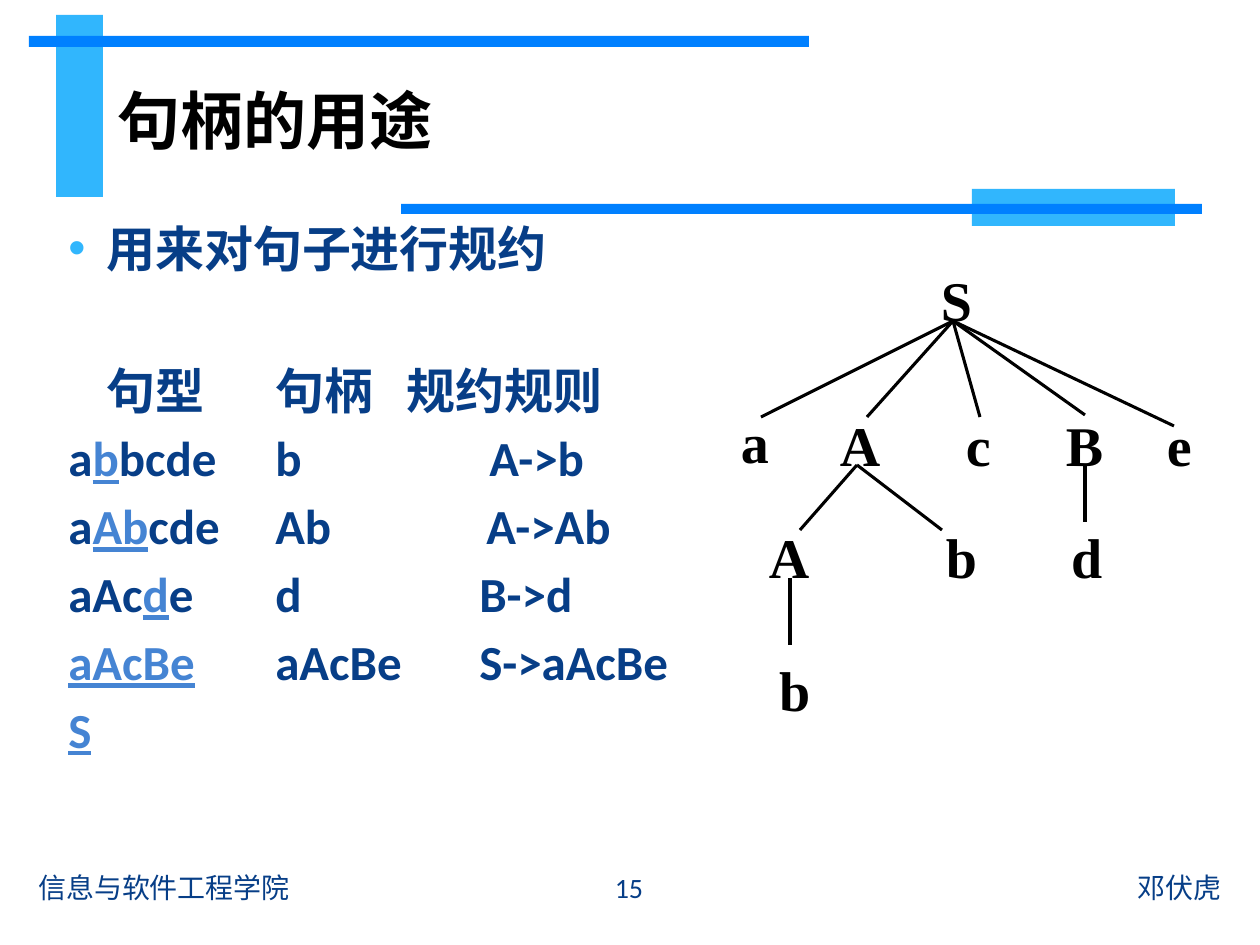
from lxml import etree
from pptx import Presentation
from pptx.dml.color import RGBColor
from pptx.enum.shapes import MSO_CONNECTOR, MSO_SHAPE
from pptx.enum.text import MSO_ANCHOR, MSO_AUTO_SIZE, PP_ALIGN
from pptx.oxml.ns import qn
from pptx.util import Emu, Pt

SCALE = 914400 / 126
SKY = RGBColor(0x31, 0xB6, 0xFD)
BLUE = RGBColor(0x00, 0x80, 0xFF)
NAVY = RGBColor(0x07, 0x3E, 0x87)
ACCENT = RGBColor(0x45, 0x84, 0xD3)
BLACK = RGBColor(0x00, 0x00, 0x00)
INDENT = 38

BARS = [
    (56, 15, 47, 182, SKY),
    (29, 36, 780, 11, BLUE),
    (972, 189, 203, 37, SKY),
    (401, 204, 801, 10, BLUE),
]
SENTENCES = [("a", "b", "bcde"), ("a", "Ab", "cde"), ("aAc", "d", "e"),
             ("", "aAcBe", ""), ("", "S", "")]
RULES = [("句柄", "规约规则", 131), ("b", "A->b", 214), ("Ab", "A->Ab", 211),
         ("d", "B->d", 204), ("aAcBe", "S->aAcBe", 204)]
NODES = [
    ("S", 200, 0, 31),
    ("a", 0, 142, 28), ("A", 99, 146, 40), ("c", 225, 146, 25),
    ("B", 325, 146, 38), ("e", 426, 146, 25),
    ("A", 28, 257, 40), ("b", 205, 257, 31), ("d", 330, 257, 31),
    ("b", 38, 390, 31),
]
BRANCHES = [
    ((212, 56), [(20, 152), (126, 152), (239, 152), (344, 150), (433, 161)]),
    ((116, 200), [(59, 265), (201, 265)]),
    ((344, 200), [(344, 257)]),
    ((49, 313), [(49, 380)]),
]


def px(n):
    return Emu(round(n * SCALE))


def add_run(p, text, size, color=NAVY, font="Calibri", bold=True, underline=None):
    r = p.add_run()
    r.text = text
    f = r.font
    f.size, f.name, f.bold, f.underline = Pt(size), font, bold, underline
    f.color.rgb = color


def add_box(s, x, y, w, h):
    tf = s.shapes.add_textbox(px(x), px(y), px(w), px(h)).text_frame
    tf.word_wrap = True
    return tf


def next_paragraph(tf, first):
    p = tf.paragraphs[0] if first else tf.add_paragraph()
    p.space_before = Pt(5.1)
    return p


def add_bars(s):
    for x, y, w, h, color in BARS:
        sp = s.shapes.add_shape(MSO_SHAPE.RECTANGLE, px(x), px(y), px(w), px(h))
        sp.shadow.inherit = False
        sp.fill.solid()
        sp.fill.fore_color.rgb = color
        sp.line.fill.background()


def add_title(s, x, y, w, h):
    sp = s.shapes.title
    sp.left, sp.top, sp.width, sp.height = px(x), px(y), px(w), px(h)
    tf = sp.text_frame
    tf.auto_size = MSO_AUTO_SIZE.NONE
    tf.vertical_anchor = MSO_ANCHOR.MIDDLE
    p = tf.paragraphs[0]
    p.alignment = PP_ALIGN.LEFT
    add_run(p, "句柄的用途", 36, BLACK, "Arial")


def add_bullet(s, x, y, w, h):
    p = next_paragraph(add_box(s, x, y, w, h), True)
    pPr = p._p.get_or_add_pPr()
    pPr.set("marL", str(px(INDENT)))
    pPr.set("indent", str(-px(INDENT)))
    color = etree.SubElement(pPr, qn("a:buClr"))
    etree.SubElement(color, qn("a:srgbClr")).set("val", str(SKY))
    etree.SubElement(pPr, qn("a:buFont")).set("typeface", "Arial")
    etree.SubElement(pPr, qn("a:buChar")).set("char", "•")
    add_run(p, "用来对句子进行规约", 28)


def add_sentences(s, x, y, w, h):
    tf = add_box(s, x, y, w, h)
    p = next_paragraph(tf, True)
    p._p.get_or_add_pPr().set("marL", str(px(INDENT)))
    add_run(p, "句型", 28)
    for before, handle, after in SENTENCES:
        p = next_paragraph(tf, False)
        if before:
            add_run(p, before, 28)
        add_run(p, handle, 28, ACCENT, underline=True)
        if after:
            add_run(p, after, 28)


def add_rules(s, x, y, w, h):
    tf = add_box(s, x, y, w, h)
    for i, (handle, rule, stop) in enumerate(RULES):
        p = next_paragraph(tf, i == 0)
        tabs = etree.SubElement(p._p.get_or_add_pPr(), qn("a:tabLst"))
        tab = etree.SubElement(tabs, qn("a:tab"))
        tab.set("pos", str(px(stop)))
        tab.set("algn", "l")
        add_run(p, f"{handle}\t{rule}", 28)


def add_tree(s, x, y):
    for label, dx, dy, w in NODES:
        tf = add_box(s, x + dx, y + dy, w, 68)
        tf.word_wrap = False
        tf.auto_size = MSO_AUTO_SIZE.SHAPE_TO_FIT_TEXT
        tf.margin_left = tf.margin_right = tf.margin_top = tf.margin_bottom = 0
        p = tf.paragraphs[0]
        p.alignment = PP_ALIGN.JUSTIFY
        add_run(p, label, 32, BLACK, "Times New Roman")
    for (x1, y1), ends in BRANCHES:
        for x2, y2 in ends:
            line = s.shapes.add_connector(
                MSO_CONNECTOR.STRAIGHT,
                px(x + x1), px(y + y1), px(x + x2), px(y + y2))
            line.line.color.rgb = BLACK
            line.line.width = Pt(1.75)
            etree.SubElement(line._element.spPr, qn("a:effectLst"))


def add_footer(s, y, h):
    for text, x, w, align in [
        ("信息与软件工程学院", 26, 522, PP_ALIGN.LEFT),
        ("15", 549, 160, PP_ALIGN.CENTER),
        ("邓伏虎", 712, 522, PP_ALIGN.RIGHT),
    ]:
        tf = add_box(s, x, y, w, h)
        tf.vertical_anchor = MSO_ANCHOR.MIDDLE
        p = tf.paragraphs[0]
        p.alignment = align
        add_run(p, text, 16, bold=False)


def main():
    prs = Presentation()
    prs.slide_width, prs.slide_height = px(1260), px(945)
    s = prs.slides.add_slide(prs.slide_layouts[5])
    add_bars(s)
    add_title(s, 105, 55, 973, 129)
    add_bullet(s, 56, 212, 1146, 86)
    add_sentences(s, 56, 354, 287, 520)
    add_rules(s, 263, 354, 456, 520)
    add_tree(s, 741, 265)
    add_footer(s, 862, 50)
    prs.save("out.pptx")


if __name__ == "__main__":
    main()
